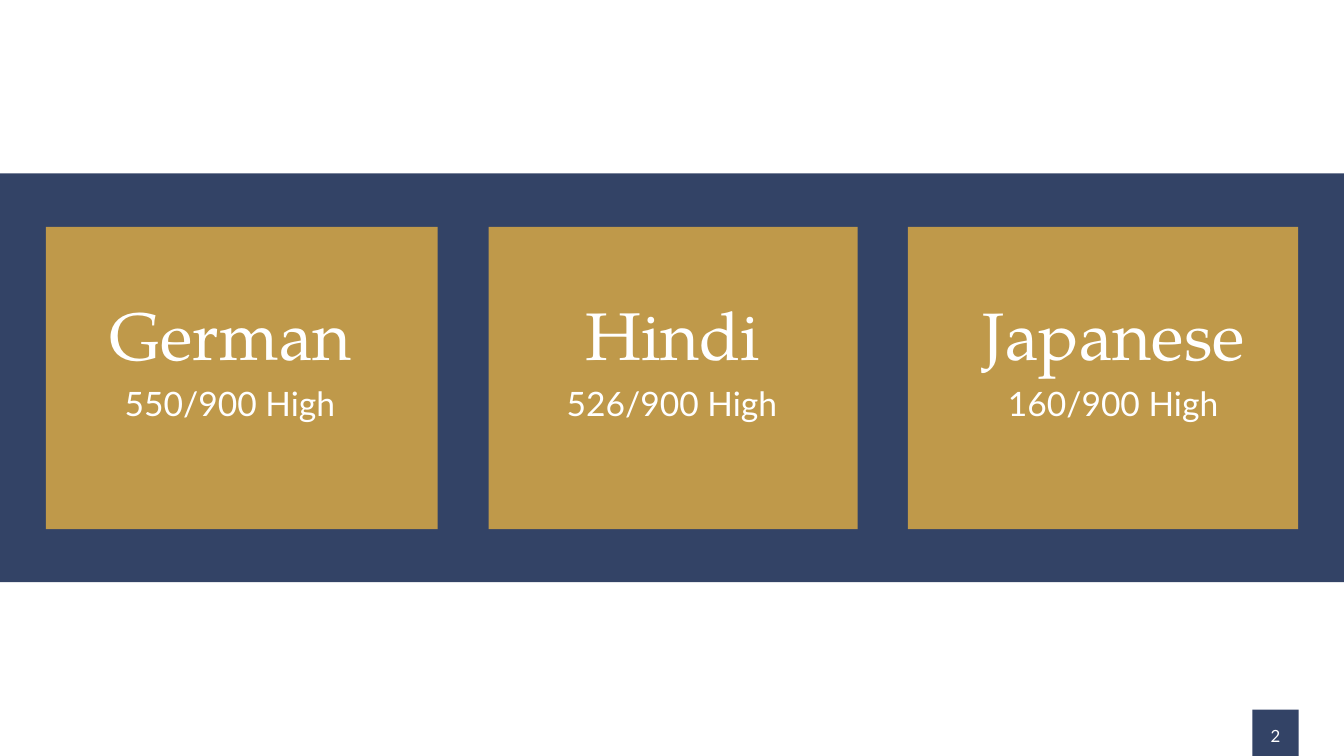
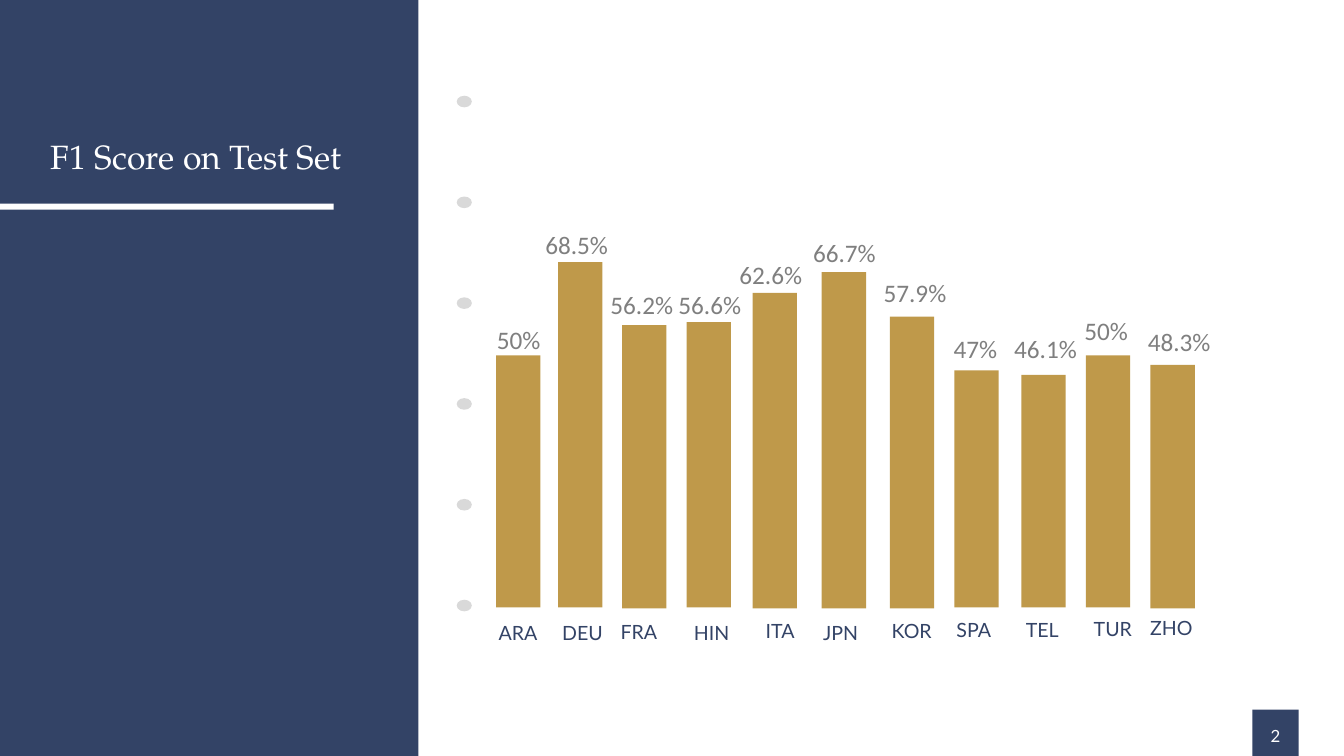
from pptx import Presentation
from pptx.dml.color import RGBColor
from pptx.enum.shapes import MSO_SHAPE
from pptx.enum.text import MSO_ANCHOR, MSO_AUTO_SIZE, PP_ALIGN
from pptx.util import Inches, Pt

COLORS = {
    "navy": "334366",
    "gold": "BF994A",
    "white": "FFFFFF",
    "dot": "D9D9D9",
    "score": "7F7F7F",
}
SERIF, SANS, PLAIN = "TeX Gyre Pagella", "Lato", "Calibri"
SLIDE_WIDTH, SLIDE_HEIGHT = 26.66, 15
TITLE_ONLY, BLANK = 5, 6

# language, score, card left, card width, text offset from the card
CARDS = [
    ("German", "550/900 High", 0.91, 7.77, 0.5),
    ("Hindi", "526/900 High", 9.69, 7.32, 0.49),
    ("Japanese", "160/900 High", 18.01, 7.74, 0.92),
]

# code, F1 percent, bar left, bar bottom, code left and top, score left and top
BARS = [
    ("ARA", 50, 9.84, 12.05, 9.21, 12.27, 9.76, 6.39),
    ("DEU", 68.5, 11.07, 12.05, 10.49, 12.27, 10.72, 4.5),
    ("FRA", 56.2, 12.34, 12.07, 11.61, 12.26, 12.01, 5.69),
    ("HIN", 56.6, 13.62, 12.05, 13.05, 12.27, 13.36, 5.69),
    ("ITA", 62.6, 14.93, 12.07, 14.41, 12.24, 14.57, 5.09),
    ("JPN", 66.7, 16.3, 12.07, 15.61, 12.27, 16.03, 4.65),
    ("KOR", 57.9, 17.65, 12.07, 17.02, 12.23, 17.43, 5.45),
    ("SPA", 47, 18.93, 12.05, 18.25, 12.22, 18.82, 6.57),
    ("TEL", 46.1, 20.26, 12.05, 19.61, 12.22, 20.02, 6.56),
    ("TUR", 50, 21.54, 12.05, 21.01, 12.2, 21.41, 6.21),
    ("ZHO", 48.3, 22.82, 12.07, 22.17, 12.18, 22.67, 6.43),
]
BAR_WIDTH = 0.88
INCHES_PER_PERCENT = 0.1


def add_block(page, box, color, kind=MSO_SHAPE.RECTANGLE):
    shape = page.shapes.add_shape(kind, *map(Inches, box))
    shape.shadow.inherit = False
    shape.fill.solid()
    shape.fill.fore_color.rgb = RGBColor.from_string(COLORS[color])
    shape.line.fill.background()
    return shape


def write(frame, text, size, font, color, align):
    frame.text = text
    para = frame.paragraphs[0]
    para.alignment = align
    span = para.runs[0]
    span.font.size = Pt(size)
    span.font.name = font
    span.font.color.rgb = RGBColor.from_string(COLORS[color])


def add_text(page, box, text, size, font, color, align=PP_ALIGN.CENTER, wrap=True):
    frame = page.shapes.add_textbox(*map(Inches, box)).text_frame
    frame.word_wrap = wrap
    frame.auto_size = MSO_AUTO_SIZE.SHAPE_TO_FIT_TEXT
    write(frame, text, size, font, color, align)
    return frame


def add_page_number(page, number, left=24.84, top=14.08):
    add_block(page, (left, top, 0.92, 0.92), "navy")
    frame = add_text(page, (left + 0.08, top, 0.76, 0.76), number, 24, SANS, "white")
    frame.margin_left = frame.margin_right = Inches(0.24)
    frame.margin_top = frame.margin_bottom = Inches(0.12)
    frame.paragraphs[0].line_spacing = Pt(43)


def add_card(page, box, language, score, text_offset):
    left, top, _, _ = box
    add_block(page, box, "gold")
    text_left = left + text_offset
    add_text(page, (text_left, top + 1.28, 6.33, 1.72), language, 96, SERIF, "white")
    add_text(page, (text_left + 0.48, top + 3.05, 5.34, 0.91), score, 48, SANS, "white")


def add_title_panel(page, box, title):
    left, top, _, _ = box
    # The panel goes behind the title placeholder
    panel = add_block(page, box, "navy")
    page.shapes.title.element.addprevious(panel.element)

    holder = page.shapes.title
    holder.left, holder.top = Inches(left + 0.91), Inches(top + 1.82)
    holder.width, holder.height = Inches(6.02), Inches(1.72)
    frame = holder.text_frame
    frame.word_wrap = True
    frame.auto_size = MSO_AUTO_SIZE.NONE
    frame.vertical_anchor = MSO_ANCHOR.BOTTOM
    write(frame, title, 48, SERIF, "white", PP_ALIGN.LEFT)

    # Rule under the title
    add_block(page, (left, top + 4.04, 6.62, 0.12), "white")


def add_scale_dots(page, left, top, count=6, step=2):
    for index in range(count):
        add_block(page, (left, top + index * step, 0.3, 0.23), "dot", MSO_SHAPE.OVAL)


def add_bar(page, percent, left, bottom):
    height = percent * INCHES_PER_PERCENT
    add_block(page, (left, bottom - height, BAR_WIDTH, height), "gold")


def add_bar_labels(page, code, percent, code_at, score_at):
    add_text(page, (*code_at, 2.13, 0.57), code, 28, SANS, "navy")
    score = f"{percent}%"
    width = 1.46 if "." in score else 1.07
    add_text(page, (*score_at, width, 0.71), score, 36, PLAIN, "score",
             PP_ALIGN.LEFT, wrap=False)


def build_language_slide(deck):
    page = deck.slides.add_slide(deck.slide_layouts[BLANK])
    add_block(page, (0, 3.44, SLIDE_WIDTH, 8.11), "navy")
    add_page_number(page, "2")
    for language, score, left, width, text_offset in CARDS:
        add_card(page, (left, 4.5, width, 6), language, score, text_offset)


def build_score_slide(deck):
    page = deck.slides.add_slide(deck.slide_layouts[TITLE_ONLY])
    add_title_panel(page, (0, 0, 8.3, SLIDE_HEIGHT), "F1 Score on Test Set")
    add_page_number(page, "2")
    add_scale_dots(page, 9.06, 1.9)
    for _, percent, left, bottom, *_ in BARS:
        add_bar(page, percent, left, bottom)
    # Labels lie above all the bars
    for code, percent, _, _, *places in BARS:
        add_bar_labels(page, code, percent, places[:2], places[2:])


def main():
    deck = Presentation()
    deck.slide_width, deck.slide_height = Inches(SLIDE_WIDTH), Inches(SLIDE_HEIGHT)
    build_language_slide(deck)
    build_score_slide(deck)
    deck.save("out.pptx")


if __name__ == "__main__":
    main()
